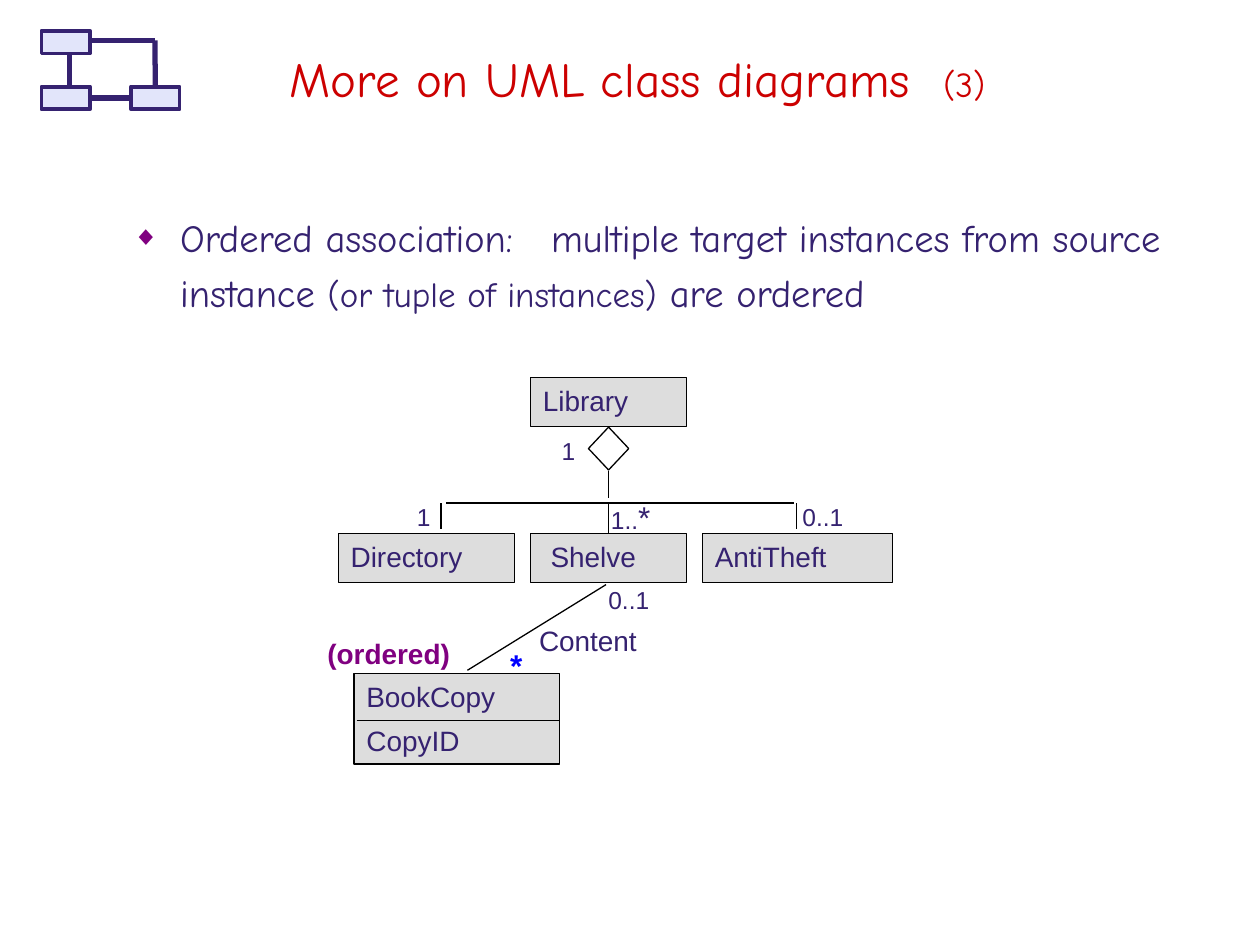
import dataclasses
import typing

import lxml.etree
import pptx
import pptx.dml.color
import pptx.enum.shapes
import pptx.enum.text
import pptx.oxml.ns
import pptx.util

INK, GREY, BLACK = "352270", "DDDDDD", "000000"
RED, PLUM, BLUE, PALE = "CC0000", "800080", "0000FF", "E2E5FA"
SANS, COMIC = "Arial", "Comic Neue"
COLS, ROWS = 100, 75  # grid over the slide

KIND = pptx.enum.shapes.MSO_SHAPE
ALIGN = pptx.enum.text.PP_ALIGN
MIDDLE = pptx.enum.text.MSO_ANCHOR.MIDDLE
FIXED = pptx.enum.text.MSO_AUTO_SIZE.NONE
TOP, LEFT, BOTTOM, RIGHT = range(4)

deck = pptx.Presentation()
deck.slide_width = pptx.util.Inches(10)
deck.slide_height = pptx.util.Inches(7.5)
slide = deck.slides.add_slide(deck.slide_layouts[1])


@dataclasses.dataclass
class Run:
    text: str
    size: float = 16
    color: str = INK
    font: str = SANS
    bold: bool = False
    gap: float = 0  # extra letter spacing, points


@dataclasses.dataclass
class Box:
    area: tuple  # left, top, width, height in grid units
    lines: tuple = ()
    indent: float = 0


@dataclasses.dataclass
class Label:
    area: tuple
    runs: tuple


def rgb(code: str):
    return pptx.dml.color.RGBColor.from_string(code)


def x(col: float) -> int:
    return round(deck.slide_width * col / COLS)


def y(row: float) -> int:
    return round(deck.slide_height * row / ROWS)


def place(area: tuple) -> tuple:
    left, top, width, height = area
    return x(left), y(top), x(width), y(height)


def write(para, runs: typing.Iterable[Run]) -> None:
    for item in runs:
        run = para.add_run()
        run.text = item.text
        run.font.size = pptx.util.Pt(item.size)
        run.font.name = item.font
        run.font.bold = item.bold
        run.font.color.rgb = rgb(item.color)
        if item.gap:
            run.font._element.set("spc", str(round(item.gap * 100)))


def draw_shape(kind, area: tuple, fill: str = "", line: str = BLACK,
               width: float = 0.75):
    shape = slide.shapes.add_shape(kind, *place(area))
    shape.shadow.inherit = False
    if fill:
        shape.fill.solid()
        shape.fill.fore_color.rgb = rgb(fill)
    else:
        shape.fill.background()
    shape.line.color.rgb = rgb(line)
    shape.line.width = pptx.util.Pt(width)
    return shape


def draw_box(box: Box):
    shape = draw_shape(KIND.RECTANGLE, box.area, GREY)
    frame = shape.text_frame
    frame.word_wrap = True
    frame.vertical_anchor = pptx.enum.text.MSO_ANCHOR.TOP
    frame.margin_left = x(1 + box.indent)
    for i, text in enumerate(box.lines):
        para = frame.add_paragraph() if i else frame.paragraphs[0]
        para.alignment = ALIGN.LEFT
        para.space_before = pptx.util.Pt(6 if i else 0)
        write(para, [Run(text)])
    return shape


def draw_label(label: Label) -> None:
    frame = slide.shapes.add_textbox(*place(label.area)).text_frame
    frame.word_wrap = True
    write(frame.paragraphs[0], label.runs)


def draw_line(start: tuple, end: tuple, color: str = BLACK,
              width: float = 0.75) -> None:
    """Each end is a (col, row) point or a (shape, side) joint."""
    points = [(0, 0) if hasattr(p[0], "shape_id") else p for p in (start, end)]
    (x1, y1), (x2, y2) = points
    line = slide.shapes.add_connector(
        pptx.enum.shapes.MSO_CONNECTOR.STRAIGHT, x(x1), y(y1), x(x2), y(y2))
    for spot, join in ((start, line.begin_connect), (end, line.end_connect)):
        if hasattr(spot[0], "shape_id"):
            join(*spot)
    line.line.color.rgb = rgb(color)
    line.line.width = pptx.util.Pt(width)
    lxml.etree.SubElement(line._element.spPr, pptx.oxml.ns.qn("a:effectLst"))


def add_bullet(para, mark: str, color: str, share: int) -> None:
    props = para._p.get_or_add_pPr()
    props.set("marL", str(x(8.3)))
    props.set("indent", str(-x(3.8)))
    qn = pptx.oxml.ns.qn
    tint = lxml.etree.SubElement(props, qn("a:buClr"))
    lxml.etree.SubElement(tint, qn("a:srgbClr"), val=color)
    lxml.etree.SubElement(props, qn("a:buSzPct"), val=str(share * 1000))
    lxml.etree.SubElement(props, qn("a:buChar"), char=mark)


def fill_holder(holder, area: tuple, runs: typing.Iterable[Run]):
    holder.left, holder.top, holder.width, holder.height = place(area)
    frame = holder.text_frame
    frame.word_wrap = True
    frame.auto_size = FIXED
    frame.vertical_anchor = MIDDLE
    write(frame.paragraphs[0], runs)
    return frame.paragraphs[0]


# Title and statement
head = fill_holder(slide.shapes.title, (3.3, 2, 94.6, 8.3), [
    Run("More on UML class diagrams", 28, RED, COMIC),
    Run(" ", 28, RED, COMIC, gap=9.5),
    Run("(3)", 20, RED, COMIC)])
head.alignment = ALIGN.CENTER

body = fill_holder(slide.placeholders[1], (5, 16.25, 92.7, 8.8), [
    Run("Ordered association:", 22, font=COMIC),
    Run(" ", 22, font=COMIC, gap=14.5),
    Run("multiple target instances from source instance ", 22, font=COMIC),
    Run("(or tuple of instances)", 20, font=COMIC),
    Run(" are ordered", 22, font=COMIC)])
body.alignment = ALIGN.LEFT
body.line_spacing = 1.2
body.space_before = pptx.util.Pt(8.8)
add_bullet(body, "◆", PLUM, 70)

# Classes
MID, BAR, TIER, TALL = 48.3, 39.93, 42.33, 3.9
draw_box(Box((42.1, 29.95, 12.4, TALL), ("Library",)))
draw_box(Box((26.85, TIER, 14, TALL), ("Directory",)))
shelf = draw_box(Box((42.1, TIER, 12.4, TALL), ("Shelve",), 0.6))
alarm = draw_box(Box((55.75, TIER, 15.1, TALL), ("AntiTheft",)))
draw_box(Box((28.1, 53.45, 16.3, 7.2), ("BookCopy", "CopyID")))
draw_line((28.3, 57.2), (44.4, 57.2))

# Aggregation tree and ordered association
draw_shape(KIND.FLOWCHART_DECISION, (MID - 1.6, 33.9, 3.2, 3.4))
draw_line((MID, 37.4), (MID, 39.5))
draw_line((35.4, BAR), (63, BAR))
draw_line((35, BAR), (35, 42))
draw_line((MID, BAR), (shelf, TOP))
draw_line((63.2, BAR), (63.2, 42))
draw_line((48.1, 46.4), (37.1, 53.2))

# Multiplicities and names
for label in (
    Label((47.5, 39, 7.8, 4.2), (Run("1..", 14), Run("*", 18))),
    Label((43.6, 34.1, 5, 4.2), (Run("1", 14),)),
    Label((62.7, 39.35, 6.6, 3.5), (Run("0..1", 14),)),
    Label((32.1, 39.35, 5, 4.2), (Run("1", 14),)),
    Label((47.3, 45.9, 6.6, 3.5), (Run("0..1", 14),)),
    Label((39.5, 50.8, 4.3, 3.6), (Run("*", 18, BLUE, bold=True),)),
    Label((25, 50, 13.2, 4.2), (Run("(ordered)", color=PLUM, bold=True),)),
    Label((41.8, 49, 12.6, 4.2), (Run("Content"),)),
):
    draw_label(label)

# Corner ornament
upper, lower, side = (
    draw_shape(KIND.RECTANGLE, (col, row, 3.85, 1.8), PALE, INK, 2.25)
    for col, row in ((3.3, 2.45), (3.3, 6.87), (10.4, 6.87)))
bend = (12.3, 3.2)
for start, end in (((lower, RIGHT), (side, LEFT)), ((side, TOP), bend),
                   ((7.2, 3.2), bend), ((5.5, 7), (5.5, 4.2))):
    draw_line(start, end, INK, 3)

deck.save("out.pptx")
